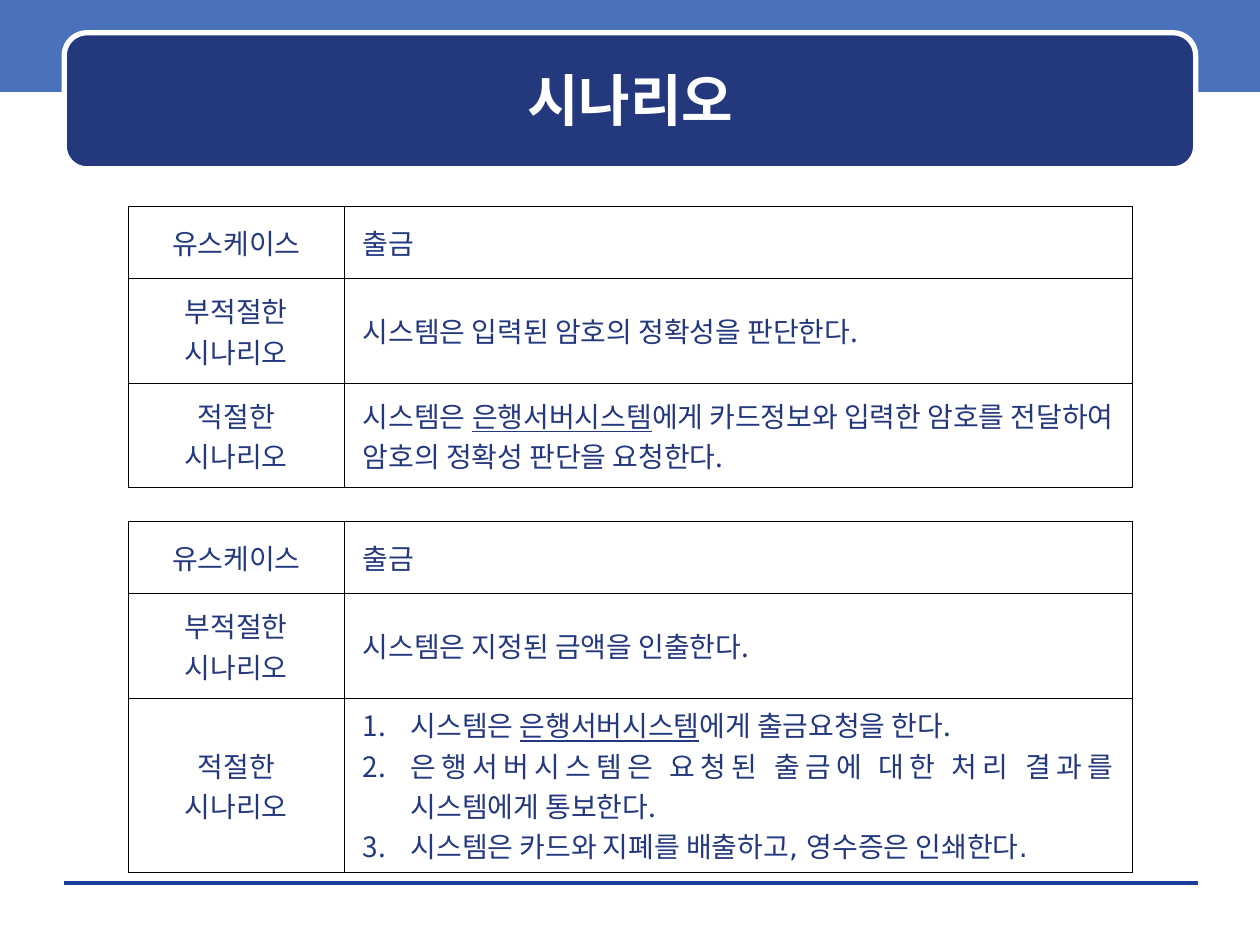
"""Build the use case scenario slide."""
import pptx
import pptx.util
import pptx.dml.color
import pptx.enum.shapes
import pptx.enum.text
import pptx.oxml.ns
from lxml import etree

Inches = pptx.util.Inches
Pt = pptx.util.Pt
RGBColor = pptx.dml.color.RGBColor
Align = pptx.enum.text.PP_ALIGN
Anchor = pptx.enum.text.MSO_ANCHOR
Shape = pptx.enum.shapes.MSO_SHAPE

NAVY = RGBColor(0x23, 0x38, 0x7D)
BLUE = RGBColor(0x49, 0x72, 0xBB)
RULE = RGBColor(0x1A, 0x3D, 0x97)
WHITE = RGBColor(0xFF, 0xFF, 0xFF)
BLACK = RGBColor(0, 0, 0)
FONT = "Noto Sans CJK KR"
ALT = "DejaVu Sans"

LABELS = ["유스케이스", "부적절한\n시나리오", "적절한\n시나리오"]
CHECK = [
    ["출금"],
    ["시스템은 입력된 암호의 정확성을 판단한다."],
    ["시스템은 |은행서버시스템|에게 카드정보와 입력한 암호를 "
     "전달하여 암호의 정확성 판단을 요청한다."],
]
PAYOUT = [
    ["출금"],
    ["시스템은 지정된 금액을 인출한다."],
    ["시스템은 |은행서버시스템|에게 출금요청을 한다.",
     "은행서버시스템은 요청된 출금에 대한 처리 결과를 시스템에게 통보한다.",
     "시스템은 카드와 지폐를 배출하고, 영수증은 인쇄한다."],
]


def add(parent, tag, **attrs):
    """Append a drawing element with the given attributes."""
    return etree.SubElement(parent, pptx.oxml.ns.qn("a:" + tag), **attrs)


def style(run, size, color, name=FONT):
    """Set the size, colour and fonts of a run."""
    font = run.font
    font.size, font.name = Pt(size), name
    font.color.rgb = color
    add(run._r.get_or_add_rPr(), "ea", typeface=FONT)


def add_box(slide, kind, left, top, width, height, fill):
    """Add a filled shape without shadow or outline."""
    box = slide.shapes.add_shape(
        kind, Inches(left), Inches(top), Inches(width), Inches(height))
    box.shadow.inherit = False
    box.fill.solid()
    box.fill.fore_color.rgb = fill
    box.line.fill.background()
    return box


def add_rule(slide, left, right, top):
    """Add the thin line at the foot of the slide."""
    rule = slide.shapes.add_connector(
        pptx.enum.shapes.MSO_CONNECTOR.STRAIGHT,
        Inches(left), Inches(top), Inches(right), Inches(top))
    rule.line.color.rgb = RULE
    rule.line.width = Pt(0)
    add(rule._element.spPr, "effectLst")


def set_title(slide, text):
    """Place the title on top of its plate and format it."""
    title = slide.shapes.title
    slide.shapes._spTree.append(title._element)
    title.left, title.top = Inches(0.6), Inches(0.35)
    title.width, title.height = Inches(8.81), Inches(0.88)
    frame = title.text_frame
    frame.text = text
    frame.auto_size = pptx.enum.text.MSO_AUTO_SIZE.NONE
    frame.vertical_anchor = Anchor.MIDDLE
    para = frame.paragraphs[0]
    para.alignment = Align.CENTER
    style(para.runs[0], 32, WHITE)
    para.runs[0].font.bold = True


def add_border(cell):
    """Draw thin lines on all four sides of a cell."""
    props = cell._tc.get_or_add_tcPr()
    for side in "LRTB":
        line = add(props, "ln" + side, w=str(Pt(0.45)))
        add(add(line, "solidFill"), "srgbClr", val=str(BLACK))


def set_number(para):
    """Turn a paragraph into a numbered item."""
    props = para._p.get_or_add_pPr()
    props.set("marL", str(Inches(0.38)))
    props.set("indent", str(Inches(-0.38)))
    add(add(props, "buClr"), "srgbClr", val=str(NAVY))
    add(props, "buFont", typeface=FONT)
    add(props, "buAutoNum", type="arabicPeriod")


def fill_cell(cell, lines, align, number=False):
    """Write lines to a cell, underlining the text between bars."""
    cell.margin_left = cell.margin_right = Inches(0.15)
    cell.margin_top = cell.margin_bottom = Inches(0.05)
    cell.vertical_anchor = Anchor.MIDDLE
    add_border(cell)
    cell.fill.background()
    frame = cell.text_frame
    frame.text = "\n".join(lines)
    for para, line in zip(frame.paragraphs, lines):
        para.text = ""
        para.alignment = align
        if number:
            set_number(para)
        for at, part in enumerate(line.split("|")):
            run = para.add_run()
            run.text = part
            style(run, 16, NAVY, ALT if "," in part else FONT)
            if at % 2:
                run.font.underline = True


def add_case(slide, top, heights, texts):
    """Add a table with one use case and its two scenarios."""
    frame = slide.shapes.add_table(
        3, 2, Inches(1.02), Inches(top), Inches(7.97), Inches(sum(heights)))
    table = frame.table
    table.first_row = table.horz_banding = False
    for col, width in zip(table.columns, (1.71, 6.26)):
        col.width = Inches(width)
    for at, (height, label, lines) in enumerate(zip(heights, LABELS, texts)):
        table.rows[at].height = Inches(height)
        fill_cell(table.cell(at, 0), label.split("\n"), Align.CENTER)
        fill_cell(table.cell(at, 1), lines, Align.JUSTIFY, len(lines) > 1)


def main():
    """Build and save the slide."""
    deck = pptx.Presentation()
    deck.slide_width, deck.slide_height = Inches(10), Inches(7.5)
    slide = deck.slides.add_slide(deck.slide_layouts[5])
    add_box(slide, Shape.RECTANGLE, 0, -0.03, 10, 0.76, BLUE)
    add_rule(slide, 0.51, 9.51, 7.01)
    plate = add_box(
        slide, Shape.ROUNDED_RECTANGLE, 0.51, 0.26, 8.98, 1.08, NAVY)
    plate.line.color.rgb = WHITE
    plate.line.width = Pt(3)
    set_title(slide, "시나리오")
    add_case(slide, 1.64, (0.57, 0.83, 0.83), CHECK)
    add_case(slide, 4.14, (0.57, 0.83, 1.37), PAYOUT)
    deck.save("out.pptx")


if __name__ == "__main__":
    main()
